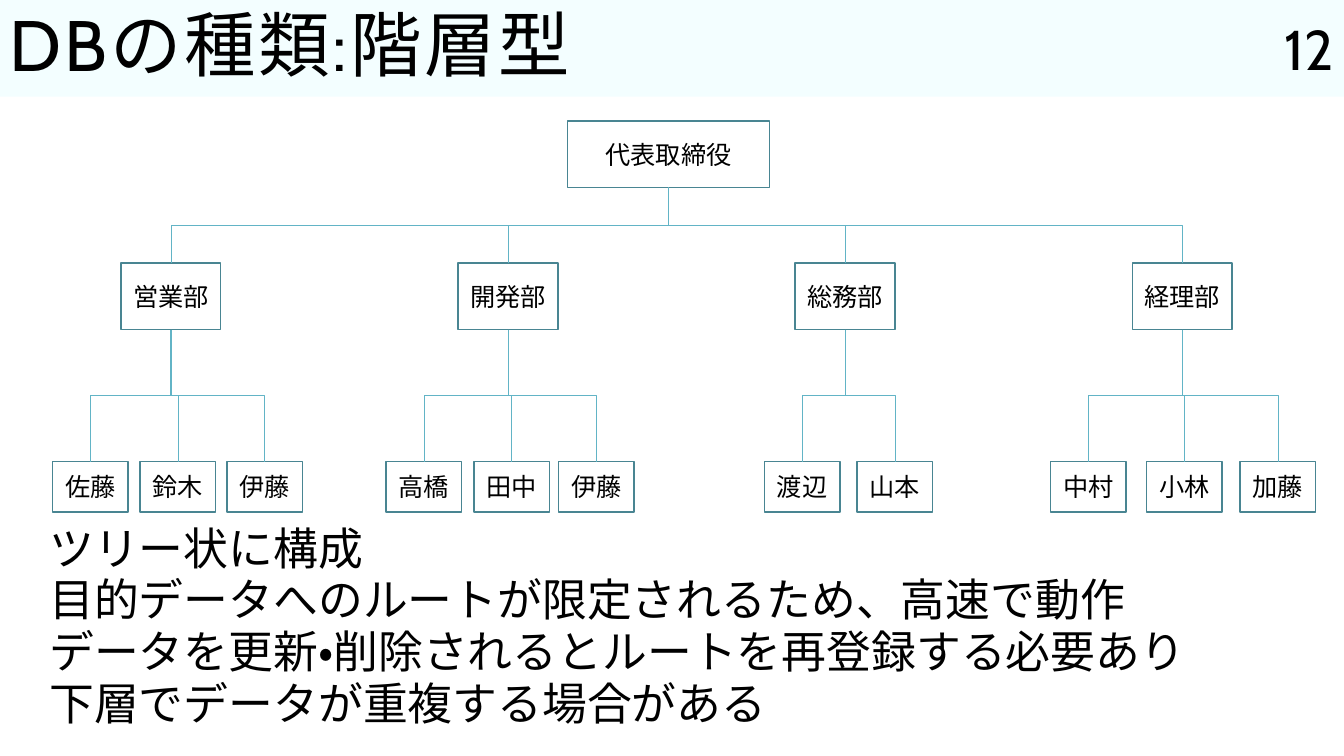
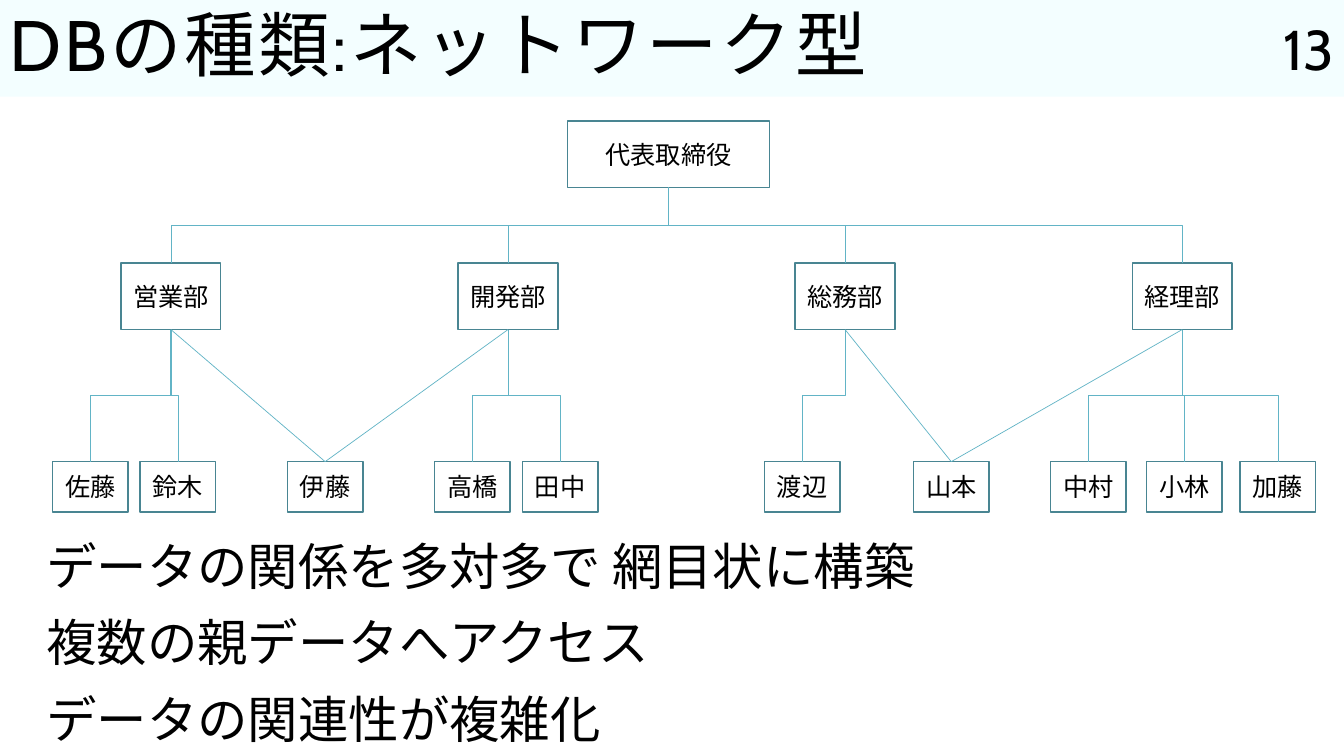
"""Build two slides comparing the hierarchical and network database models."""
from dataclasses import dataclass
from typing import Any

import lxml.etree
import pptx
import pptx.dml.color
import pptx.enum.lang
import pptx.enum.shapes
import pptx.enum.text
import pptx.oxml.ns
import pptx.util

Inches = pptx.util.Inches
Pt = pptx.util.Pt
Align = pptx.enum.text.PP_ALIGN
Anchor = pptx.enum.text.MSO_ANCHOR
Kind = pptx.enum.shapes.MSO_CONNECTOR

COLOURS = {
    "text": "000000",
    "band": "F3FEFF",
    "node": "FFFFFF",
    "border": "498592",
    "link": "62B4C6",
}
FONT = {"name": "Cabin", "language_id": pptx.enum.lang.MSO_LANGUAGE_ID.JAPANESE}

SLIDE_WIDTH, SLIDE_HEIGHT = 13.33, 7.5
BAND_HEIGHT = 0.96
NUMBER_WIDTH = 1.5
DEPARTMENTS = ("営業部", "開発部", "総務部", "経理部")
FIRST_DEPARTMENT, LAST_DEPARTMENT = 1.2, 11.23
DEPARTMENT_TOP, DEPARTMENT_WIDTH, DEPARTMENT_HEIGHT = 2.61, 0.99, 0.66
MEMBER_TOP, MEMBER_WIDTH, MEMBER_HEIGHT = 4.58, 0.75, 0.5


@dataclass(frozen=True)
class Area:
    left: float
    top: float
    width: float
    height: float

    def lengths(self) -> list[Any]:
        return [Inches(side) for side in (self.left, self.top, self.width, self.height)]


@dataclass(frozen=True)
class Member:
    name: str
    left: float
    parents: tuple[int, ...]


@dataclass(frozen=True)
class Model:
    title: str
    number: str
    members: tuple[Member, ...]
    features: tuple[str, ...]
    body_area: Area
    body_size: int
    body_leading: Any


SALES = (Member("佐藤", 0.52, (0,)), Member("鈴木", 1.39, (0,)))
ACCOUNTS = (
    Member("中村", 10.42, (3,)),
    Member("小林", 11.37, (3,)),
    Member("加藤", 12.3, (3,)),
)
WATANABE = Member("渡辺", 7.58, (2,))

MODELS = (
    Model(
        "DBの種類:階層型",
        "12",
        (
            *SALES,
            Member("伊藤", 2.25, (0,)),
            Member("高橋", 3.83, (1,)),
            Member("田中", 4.7, (1,)),
            Member("伊藤", 5.54, (1,)),
            WATANABE,
            Member("山本", 8.5, (2,)),
            *ACCOUNTS,
        ),
        (
            "ツリー状に構成",
            "目的データへのルートが限定されるため、高速で動作",
            "データを更新・削除されるとルートを再登録する必要あり",
            "下層でデータが重複する場合がある",
        ),
        Area(0.39, 5.23, 12.32, 2.17),
        32,
        Pt(30),
    ),
    Model(
        "DBの種類:ネットワーク型",
        "13",
        (
            *SALES,
            Member("伊藤", 2.85, (0, 1)),
            Member("高橋", 4.31, (1,)),
            Member("田中", 5.18, (1,)),
            WATANABE,
            Member("山本", 9.06, (2, 3)),
            *ACCOUNTS,
        ),
        (
            "データの関係を多対多で 網目状に構築",
            "複数の親データへアクセス",
            "データの関連性が複雑化",
        ),
        Area(0.36, 5.2, 12.68, 2.3),
        36,
        1.1,
    ),
)


def colour(name: str) -> Any:
    return pptx.dml.color.RGBColor.from_string(COLOURS[name])


def apply(target: Any, values: dict[str, Any]) -> None:
    for name, value in values.items():
        setattr(target, name, value)


def write(box: Any, lines: tuple[str, ...], size: int, anchor: Any, layout: dict[str, Any]) -> None:
    frame = box.text_frame
    apply(frame, {"word_wrap": True, "vertical_anchor": anchor})
    for index, line in enumerate(lines):
        para = frame.add_paragraph() if index else frame.paragraphs[0]
        apply(para, layout)
        if index:
            para.space_before = Pt(7)
        span = para.add_run()
        span.text = line
        apply(span.font, FONT | {"size": Pt(size)})
        span.font.color.rgb = colour("text")


def add_rectangle(page: Any, area: Area, fill: str) -> Any:
    box = page.shapes.add_shape(pptx.enum.shapes.MSO_SHAPE.RECTANGLE, *area.lengths())
    box.shadow.inherit = False
    box.fill.solid()
    box.fill.fore_color.rgb = colour(fill)
    box.line.fill.background()
    return box


def add_node(page: Any, area: Area, name: str) -> Any:
    box = add_rectangle(page, area, "node")
    box.line.color.rgb = colour("border")
    box.line.width = Pt(1)
    write(box, (name,), 18, Anchor.MIDDLE, {"alignment": Align.CENTER})
    return box


def add_link(page: Any, parent: Any, child: Any, kind: Any) -> None:
    link = page.shapes.add_connector(kind, 0, 0, 0, 0)
    link.begin_connect(parent, 2)
    link.end_connect(child, 0)
    link.line.color.rgb = colour("link")
    link.line.width = Pt(0.5)
    shape = link._element.spPr
    lxml.etree.SubElement(shape, pptx.oxml.ns.qn("a:effectLst"))
    if kind == Kind.ELBOW:
        turn_downward(link, shape.find(pptx.oxml.ns.qn("a:xfrm")))


def turn_downward(link: Any, transform: Any) -> None:
    across = link.end_x - link.begin_x
    down = link.end_y - link.begin_y
    middle_x = (link.begin_x + link.end_x) // 2
    middle_y = (link.begin_y + link.end_y) // 2
    rightward = across > 0
    transform.set("rot", str((270 if rightward else 90) * 60000))
    transform.set("flipH", "1" if rightward else "0")
    transform.set("flipV", "0")
    apply(link, {
        "left": middle_x - down // 2,
        "top": middle_y - abs(across) // 2,
        "width": down,
        "height": abs(across),
    })


def add_header(page: Any, title: str, number: str) -> None:
    band = add_rectangle(page, Area(0, 0, SLIDE_WIDTH, BAND_HEIGHT), "band")
    write(band, (title,), 51, Anchor.MIDDLE, {"alignment": Align.LEFT, "line_spacing": 0.9})
    span = band.text_frame.paragraphs[0].runs[0]
    span.font._element.set("spc", "200")
    area = Area(SLIDE_WIDTH - NUMBER_WIDTH, 0, NUMBER_WIDTH, BAND_HEIGHT)
    box = page.shapes.add_textbox(*area.lengths())
    write(box, (number,), 40, Anchor.MIDDLE, {"alignment": Align.RIGHT})


def add_organisation(page: Any, members: tuple[Member, ...]) -> None:
    president = add_node(page, Area(5.63, 1.2, 2, 0.66), "代表取締役")
    pitch = (LAST_DEPARTMENT - FIRST_DEPARTMENT) / (len(DEPARTMENTS) - 1)
    departments = [
        add_node(
            page,
            Area(FIRST_DEPARTMENT + pitch * index, DEPARTMENT_TOP, DEPARTMENT_WIDTH, DEPARTMENT_HEIGHT),
            name,
        )
        for index, name in enumerate(DEPARTMENTS)
    ]
    leaves = [
        add_node(page, Area(member.left, MEMBER_TOP, MEMBER_WIDTH, MEMBER_HEIGHT), member.name)
        for member in members
    ]
    for department in departments:
        add_link(page, president, department, Kind.ELBOW)
    for member, leaf in zip(members, leaves):
        kind = Kind.STRAIGHT if len(member.parents) > 1 else Kind.ELBOW
        for parent in member.parents:
            add_link(page, departments[parent], leaf, kind)


def add_model(deck: Any, model: Model) -> None:
    page = deck.slides.add_slide(deck.slide_layouts[6])
    add_header(page, model.title, model.number)
    box = page.shapes.add_textbox(*model.body_area.lengths())
    layout = {"alignment": Align.LEFT, "line_spacing": model.body_leading}
    write(box, model.features, model.body_size, Anchor.TOP, layout)
    add_organisation(page, model.members)


def main() -> None:
    deck = pptx.Presentation()
    apply(deck, {"slide_width": Inches(SLIDE_WIDTH), "slide_height": Inches(SLIDE_HEIGHT)})
    for model in MODELS:
        add_model(deck, model)
    deck.save("out.pptx")


if __name__ == "__main__":
    main()
